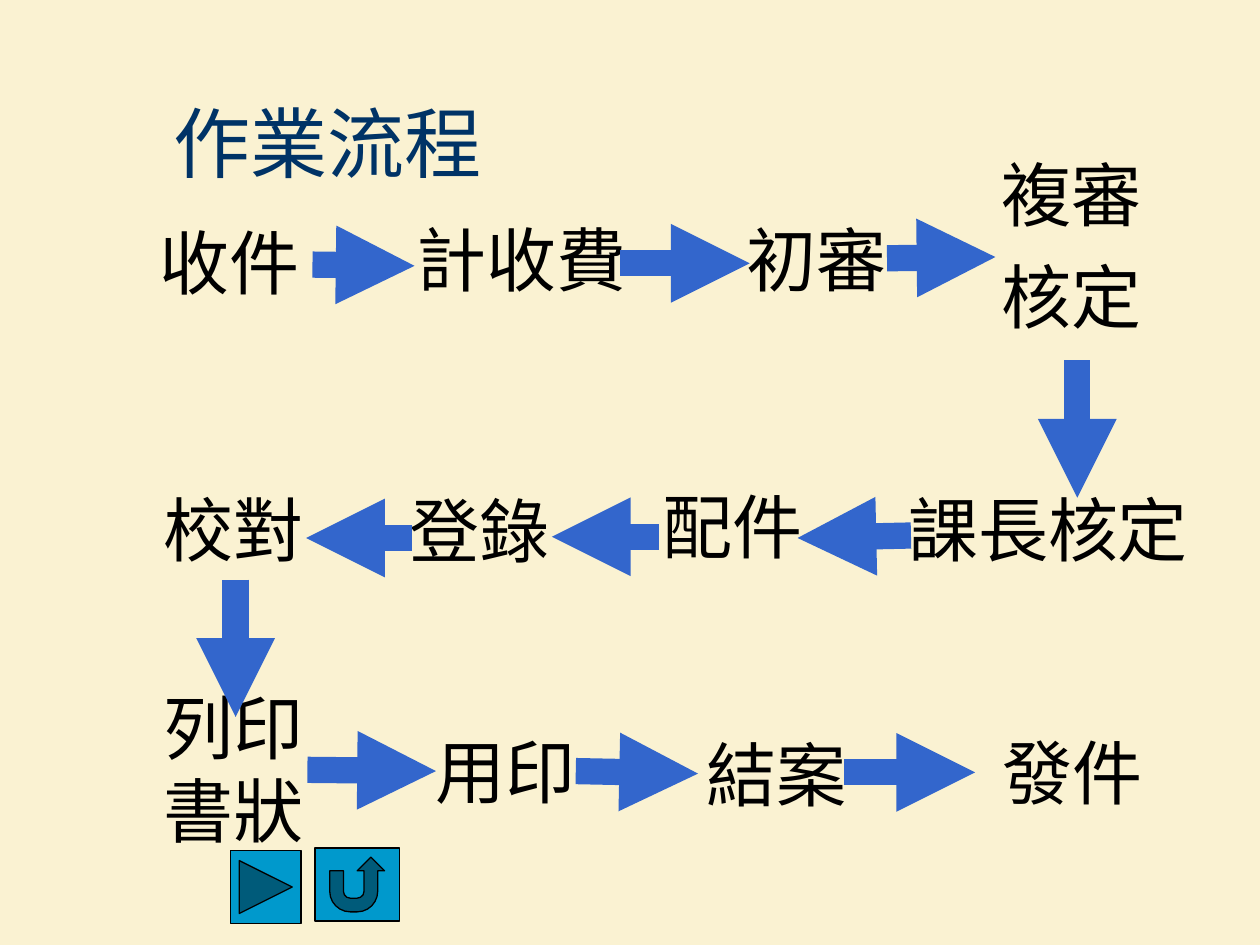
import pptx
import pptx.dml.color
import pptx.enum.shapes
import pptx.enum.text
import pptx.oxml.ns
import pptx.util
from lxml import etree

Inches, Pt = pptx.util.Inches, pptx.util.Pt
SHAPE = pptx.enum.shapes.MSO_SHAPE

COLORS = {"background": "FAF2D2", "title": "003366", "text": "000000",
          "arrow": "3366CC", "button": "0099CC", "outline": "000000"}
SERIF, SANS = "Times New Roman", "Lato"

TITLE = "作業流程"
# paragraphs, left, top, width, height, font
STEPS = [
    (["收件"], 1.17, 1.69, 1.42, 0.77, SERIF),
    (["計收費"], 3.21, 1.67, 2.07, 0.77, SERIF),
    (["初審"], 5.83, 1.67, 1.65, 0.77, SERIF),
    (["複審", "核定"], 7.85, 1.28, 1.45, 1.5, SERIF),
    (["課長核定"], 7.11, 3.81, 2.66, 0.77, SERIF),
    (["配件"], 5.16, 3.79, 1.62, 0.77, SERIF),
    (["登錄"], 3.15, 3.82, 1.52, 0.77, SERIF),
    (["校對"], 1.2, 3.81, 2.19, 0.77, SERIF),
    (["列印書狀"], 1.2, 5.38, 1.67, 1.43, SERIF),
    (["用印"], 3.36, 5.73, 1.31, 0.77, SANS),
    (["結案"], 5.51, 5.76, 1.31, 0.77, SANS),
    (["發件"], 7.86, 5.74, 1.44, 0.77, SERIF),
]
# start x, start y, end x, end y, in the order of the process
ARROWS = [
    (2.48, 2.1, 3.29, 2.11), (4.92, 2.09, 5.95, 2.09), (7.04, 2.05, 7.9, 2.04),
    (8.55, 2.86, 8.55, 3.95),
    (7.23, 4.25, 6.33, 4.27), (5.23, 4.26, 4.38, 4.26), (3.27, 4.27, 2.43, 4.27),
    (1.87, 4.6, 1.87, 5.69),
    (2.44, 6.11, 3.46, 6.12), (4.57, 6.12, 5.54, 6.14), (6.7, 6.13, 7.74, 6.13),
]
BUTTONS = [
    (SHAPE.ACTION_BUTTON_FORWARD_OR_NEXT, 1.83, 6.75, 0.56, 0.58),
    (SHAPE.ACTION_BUTTON_RETURN, 2.5, 6.73, 0.67, 0.58),
]


def color(name):
    return pptx.dml.color.RGBColor.from_string(COLORS[name])


def format_run(para, size, font, color_name):
    run_font = para.runs[0].font
    run_font.size, run_font.name = Pt(size), font
    run_font.color.rgb = color(color_name)


def add_title(page):
    title = page.shapes.title
    title.left, title.top = Inches(1.28), Inches(0.5)
    title.width, title.height = Inches(8.5), Inches(1.25)
    title.text_frame.text = TITLE
    title.text_frame.vertical_anchor = pptx.enum.text.MSO_ANCHOR.MIDDLE
    para = title.text_frame.paragraphs[0]
    para.alignment = pptx.enum.text.PP_ALIGN.LEFT
    format_run(para, 44, SERIF, "title")


def add_step(page, lines, left, top, width, height, font):
    box = page.shapes.add_textbox(*map(Inches, (left, top, width, height)))
    frame = box.text_frame
    frame.text = "\n".join(lines)
    frame.word_wrap = True
    frame.auto_size = pptx.enum.text.MSO_AUTO_SIZE.SHAPE_TO_FIT_TEXT
    for index, para in enumerate(frame.paragraphs):
        format_run(para, 40, font, "text")
        if len(lines) > 1:
            para.line_spacing = 0.8
        if index:
            para.space_before = Pt(20)


def add_arrow(page, *ends):
    arrow = page.shapes.add_connector(
        pptx.enum.shapes.MSO_CONNECTOR.STRAIGHT, *map(Inches, ends))
    arrow.line.color.rgb = color("arrow")
    arrow.line.width = Pt(15)
    qn = pptx.oxml.ns.qn
    properties = arrow._element.spPr
    etree.SubElement(properties.find(qn("a:ln")), qn("a:tailEnd"), type="triangle")
    etree.SubElement(properties, qn("a:effectLst"))


def add_button(page, kind, *place):
    button = page.shapes.add_shape(kind, *map(Inches, place))
    button.shadow.inherit = False
    button.fill.solid()
    button.fill.fore_color.rgb = color("button")
    button.line.color.rgb = color("outline")
    button.line.width = Pt(0.75)


def main():
    deck = pptx.Presentation()
    deck.slide_width, deck.slide_height = Inches(10), Inches(7.5)
    page = deck.slides.add_slide(deck.slide_layouts.get_by_name("Title Only"))
    page.background.fill.solid()
    page.background.fill.fore_color.rgb = color("background")
    add_title(page)
    for step in STEPS:
        add_step(page, *step)
    for arrow in ARROWS:
        add_arrow(page, *arrow)
    for button in BUTTONS:
        add_button(page, *button)
    deck.save("out.pptx")


if __name__ == "__main__":
    main()
